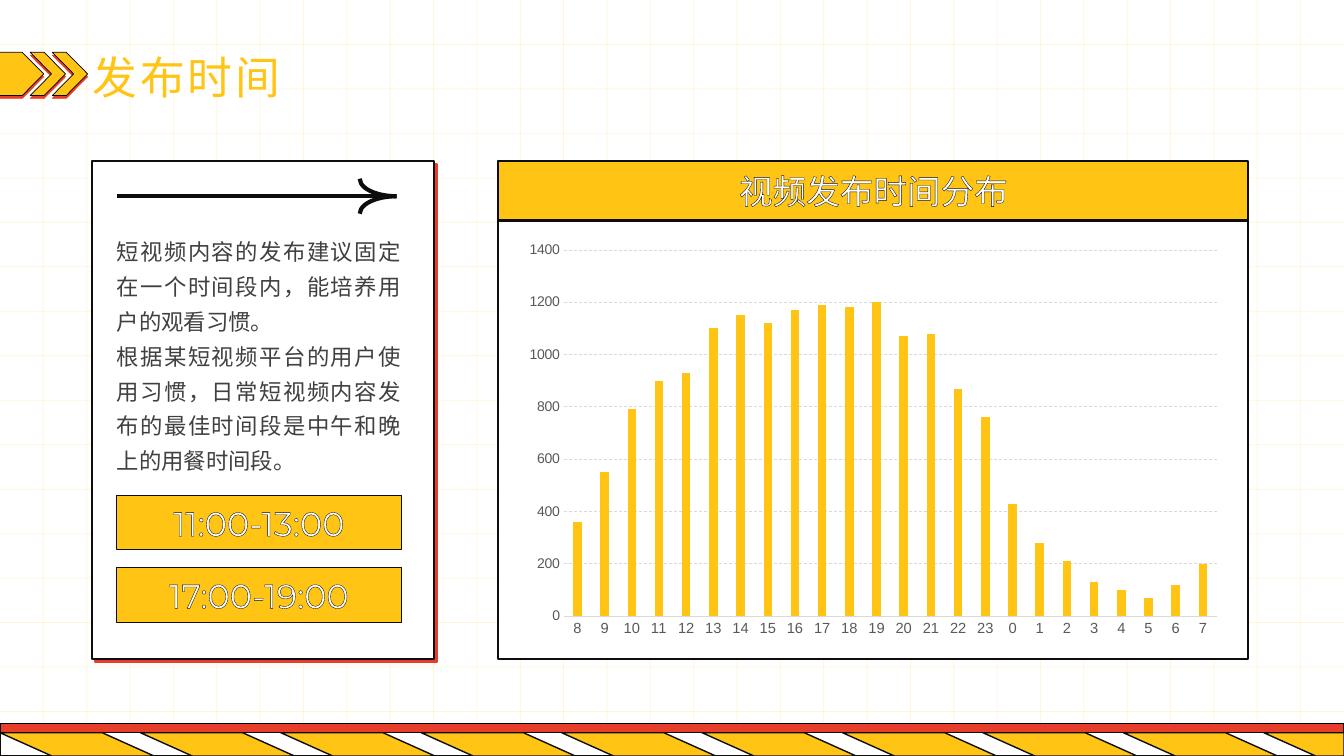
"""Build the slide on the best times of day to publish short videos."""
from dataclasses import dataclass

from lxml import etree
from pptx import Presentation
from pptx.chart.data import CategoryChartData
from pptx.dml.color import RGBColor
from pptx.enum.chart import XL_CHART_TYPE, XL_TICK_MARK
from pptx.enum.dml import MSO_LINE
from pptx.enum.shapes import MSO_CONNECTOR, MSO_SHAPE
from pptx.enum.text import MSO_ANCHOR, MSO_AUTO_SIZE, PP_ALIGN
from pptx.oxml.ns import qn
from pptx.util import Pt

RECT, ARC = MSO_SHAPE.RECTANGLE, MSO_SHAPE.ARC
STRAIGHT = MSO_CONNECTOR.STRAIGHT
LEFT, MID, JUST = PP_ALIGN.LEFT, PP_ALIGN.CENTER, PP_ALIGN.JUSTIFY
COLUMN, NO_TICK = XL_CHART_TYPE.COLUMN_CLUSTERED, XL_TICK_MARK.NONE
GROW, CENTRE, DASH = MSO_AUTO_SIZE.SHAPE_TO_FIT_TEXT, MSO_ANCHOR.MIDDLE, MSO_LINE.DASH
WIDE, HIGH = 960, 540


@dataclass(frozen=True)
class Theme:
    """Colours, fonts and type sizes."""
    gold: str = "FFC414"
    red: str = "E73E2B"
    ink: str = "0D0D0D"
    black: str = "000000"
    white: str = "FFFFFF"
    body: str = "404040"
    label: str = "595959"
    rule: str = "D9D9D9"
    han: str = "Noto Sans CJK SC"
    digit: str = "Montserrat"
    plain: str = "Arial"
    title: float = 32
    head: float = 24
    text: float = 16
    hour: float = 10.5
    count: float = 10


T = Theme()


@dataclass(frozen=True)
class Box:
    """A rectangle in points with its fill, outline and shadow depth."""
    left: float
    top: float
    width: float
    height: float
    fill: str = T.gold
    line: str = T.ink
    weight: float = 1.5
    drop: float = 0


@dataclass(frozen=True)
class Slot:
    """A recommended time span and the top of its button."""
    span: str
    top: float


FOOT = (Box(0, 517, WIDE, 18, T.red, T.black, 0),
        Box(0, 523.4, WIDE, 16.6, T.white, T.ink, 1))
PANELS = (Box(65.7, 115.2, 244.3, 355.7, T.white, drop=3),
          Box(355.7, 157.5, 535.7, 313.4, T.white),
          Box(355.7, 115.2, 535.7, 42.3))
SLOTS = (Slot("11:00-13:00", 354), Slot("17:00-19:00", 405.6))
BODY = ("短视频内容的发布建议固定在一个时间段内，能培养用户的观看习惯。",
        "根据某短视频平台的用户使用习惯，日常短视频内容发布的最佳时间段是中午和晚上的用餐时间段。")
COUNTS = (360, 550, 790, 900, 930, 1100, 1150, 1120, 1170, 1190, 1180, 1200,
          1070, 1080, 870, 760, 430, 280, 210, 130, 100, 70, 120, 200)


def rgb(code: str) -> RGBColor:
    """Turn a hex code into a colour."""
    return RGBColor.from_string(code)


def sub(root, tag: str, **attrs):
    """Append a child element with attributes."""
    return etree.SubElement(root, qn(tag), {k: str(v) for k, v in attrs.items()})


def paint(shape, fill: str, line: str, weight: float, drop: float = 0, angle: int = 45) -> None:
    """Set fill, outline and an optional hard red shadow."""
    shape.shadow.inherit = False
    if fill:
        shape.fill.solid()
        shape.fill.fore_color.rgb = rgb(fill)
    else:
        shape.fill.background()
    shape.line.color.rgb = rgb(line)
    shape.line.width = Pt(weight)
    if drop:
        effect = shape.element.spPr.find(qn("a:effectLst"))
        cast = sub(effect, "a:outerShdw", blurRad=0, dist=Pt(drop),
                   dir=angle * 60000, algn="t", rotWithShape=0)
        sub(cast, "a:srgbClr", val=T.red)


def block(shapes, box: Box) -> None:
    """Draw one rectangle."""
    shape = shapes.add_shape(RECT, Pt(box.left), Pt(box.top), Pt(box.width), Pt(box.height))
    paint(shape, box.fill, box.line, box.weight, box.drop)


def rule(shapes, ends: tuple, color: str, weight: float, alpha: int = 100) -> None:
    """Draw a straight line between two points."""
    line = shapes.add_connector(STRAIGHT, *(Pt(v) for v in ends))
    line.line.color.rgb = rgb(color)
    line.line.width = Pt(weight)
    sub(line.element.spPr, "a:effectLst")
    if alpha < 100:
        sub(next(line.element.iter(qn("a:srgbClr"))), "a:alpha", val=alpha * 1000)


def trace(shapes, loops: list):
    """Draw closed outlines as one freeform."""
    pen = None
    for loop in loops:
        first, *rest = [(Pt(x), Pt(y)) for x, y in loop]
        if pen is None:
            pen = shapes.build_freeform(*first)
        else:
            pen.move_to(*first)
        pen.add_line_segments(rest, close=True)
    return pen.convert_to_shape()


def write(shape, *lines: str, size: float, color: str, face: str = T.han, align=MID,
          pitch: float = 1.0, edge: float = 0, gap: float = 0, wrap: bool = True) -> None:
    """Fill a text frame with formatted paragraphs."""
    frame = shape.text_frame
    frame.margin_left = frame.margin_right = frame.margin_top = frame.margin_bottom = 0
    frame.word_wrap, frame.auto_size = wrap, GROW
    for i, line in enumerate(lines):
        para = frame.add_paragraph() if i else frame.paragraphs[0]
        para.alignment, para.line_spacing = align, pitch
        run = para.add_run()
        run.text = line
        run.font.size, run.font.name = Pt(size), face
        run.font.color.rgb = rgb(color)
        props = run.font._element
        sub(props, "a:ea", typeface=face)
        if gap:
            props.set("spc", str(int(gap * 100)))
        if edge:
            rim = etree.Element(qn("a:ln"), w=str(Pt(edge)))
            sub(sub(rim, "a:solidFill"), "a:srgbClr", val=T.ink)
            props.insert(0, rim)


def label(shapes, area: tuple, *lines: str, **style) -> None:
    """Add a text box."""
    write(shapes.add_textbox(*(Pt(v) for v in area)), *lines, **style)


def frame(shapes) -> None:
    """Draw the grid, the title chevrons and the striped footer."""
    for i in range(1, 17):
        rule(shapes, (0, HIGH * i / 17, WIDE, HIGH * i / 17), T.gold, 0.5, 17)
    for i in range(1, 31):
        rule(shapes, (WIDE * i / 31, 0, WIDE * i / 31, HIGH), T.gold, 0.5, 17)
    top, mid, low = 37.4, 52.8, 68.2
    marks = [[(-0.7, top), (16, top), (31.2, mid), (16, low), (-0.7, low)]]
    marks += [[(x + 25.2, mid), (x + 10, low), (x, low), (x + 15.2, mid), (x, top), (x + 10, top)]
              for x in (21.6, 37.4)]
    block(shapes, FOOT[0])
    for mark in marks:
        paint(trace(shapes, [mark]), T.gold, T.black, 0.5, 2, 90)
    block(shapes, FOOT[1])
    roof = FOOT[1].top
    bars = [[(x, roof), (min(x + 37, WIDE), HIGH), (min(x + 110, WIDE), HIGH),
             (min(x + 73, WIDE), roof)] for x in (100.3 * i for i in range(10))]
    paint(trace(shapes, bars), T.gold, T.ink, 1)


def arrow(shapes) -> None:
    """Draw the arrow with its curved head."""
    rule(shapes, (83.5, 140.2, 281.5, 140.2), T.ink, 3)
    for top, start, stop in ((115.2, 54, 108), (140.2, 108, 162)):
        arc = shapes.add_shape(ARC, Pt(257), Pt(top), Pt(52.6), Pt(25))
        arc.adjustments[0], arc.adjustments[1] = start, stop
        paint(arc, "", T.ink, 3)


def graph(shapes) -> None:
    """Add the column chart of videos by hour."""
    data = CategoryChartData()
    data.categories = [str(hour % 24) for hour in range(8, 32)]
    data.add_series("Series 1", COUNTS)
    area = (Pt(v) for v in (368, 167, 511.2, 293.8))
    chart = shapes.add_chart(COLUMN, *area, data).chart
    chart.has_legend = chart.has_title = False
    chart.font.name, chart.font.size = T.plain, Pt(T.count)
    plot = chart.plots[0]
    plot.gap_width, plot.overlap, plot.vary_by_categories = 219, -27, False
    fill = plot.series[0].format.fill
    fill.solid()
    fill.fore_color.rgb = rgb(T.gold)
    hours, counts = chart.category_axis, chart.value_axis
    for axis, size in ((hours, T.hour), (counts, T.count)):
        axis.major_tick_mark = axis.minor_tick_mark = NO_TICK
        font = axis.tick_labels.font
        font.name, font.size, font.color.rgb = T.plain, Pt(size), rgb(T.label)
    counts.minimum_scale, counts.maximum_scale, counts.major_unit = 0, 1400, 200
    counts.format.line.fill.background()
    grid = counts.major_gridlines.format.line
    for line, weight in ((hours.format.line, 0.75), (grid, 0.5)):
        line.color.rgb, line.width = rgb(T.rule), Pt(weight)
    grid.dash_style = DASH


def main() -> None:
    """Assemble and save the slide."""
    deck = Presentation()
    deck.slide_width, deck.slide_height = Pt(WIDE), Pt(HIGH)
    shapes = deck.slides.add_slide(deck.slide_layouts[5]).shapes
    title = shapes.title
    title.left, title.top, title.width, title.height = Pt(66.2), Pt(38.9), Pt(137.5), Pt(36)
    write(title, "发布时间", size=T.title, color=T.gold, align=LEFT, pitch=0.9, gap=2, wrap=False)
    title.text_frame.vertical_anchor = CENTRE
    frame(shapes)
    for panel in PANELS:
        block(shapes, panel)
    arrow(shapes)
    graph(shapes)
    label(shapes, (514.8, 121.7, 218.2, 28.8), "视频发布时间分布", size=T.head, color=T.white, edge=0.5)
    label(shapes, (83.5, 164.2, 203, 174.2), *BODY, size=T.text, color=T.body, align=JUST, pitch=1.3)
    for slot in SLOTS:
        block(shapes, Box(83.5, slot.top, 203, 38.9, weight=0.75))
        label(shapes, (114.5, slot.top + 5, 141, 28.8), slot.span,
              size=T.head, color=T.white, face=T.digit, edge=0.75)
    deck.save("out.pptx")


if __name__ == "__main__":
    main()
